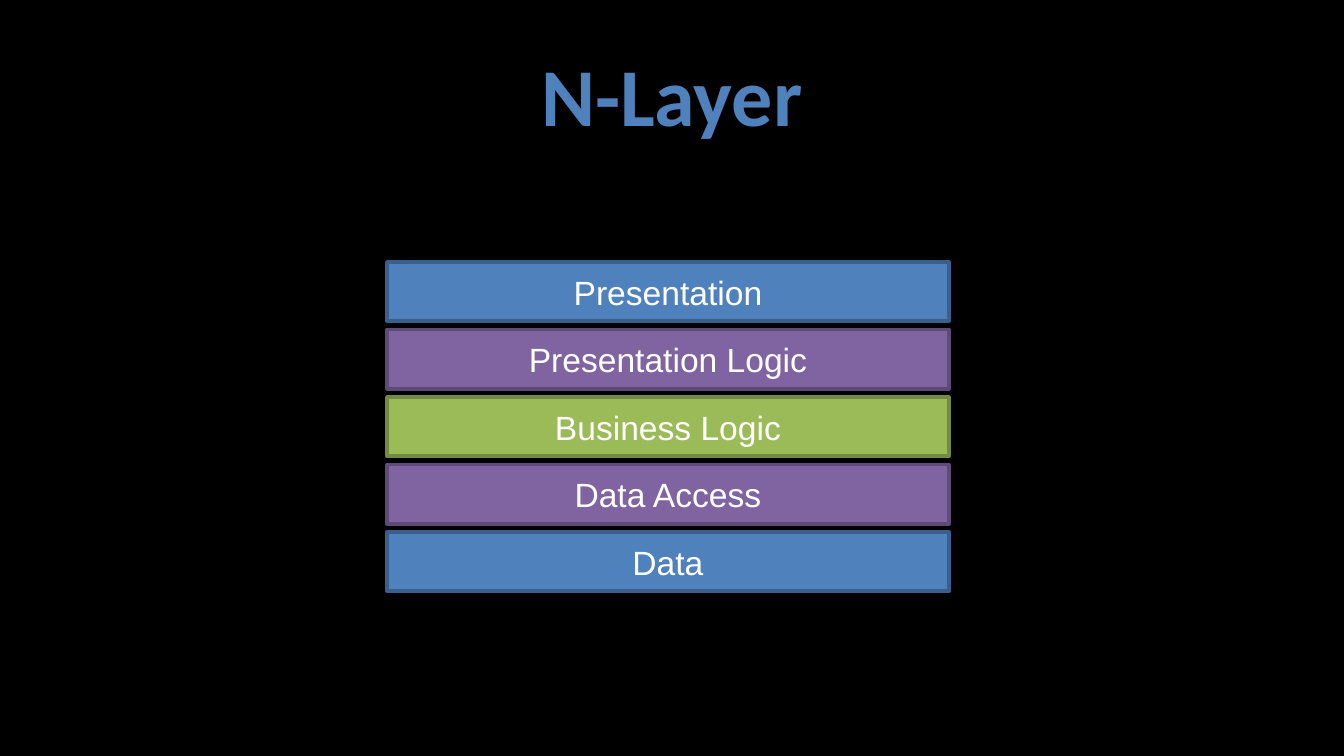
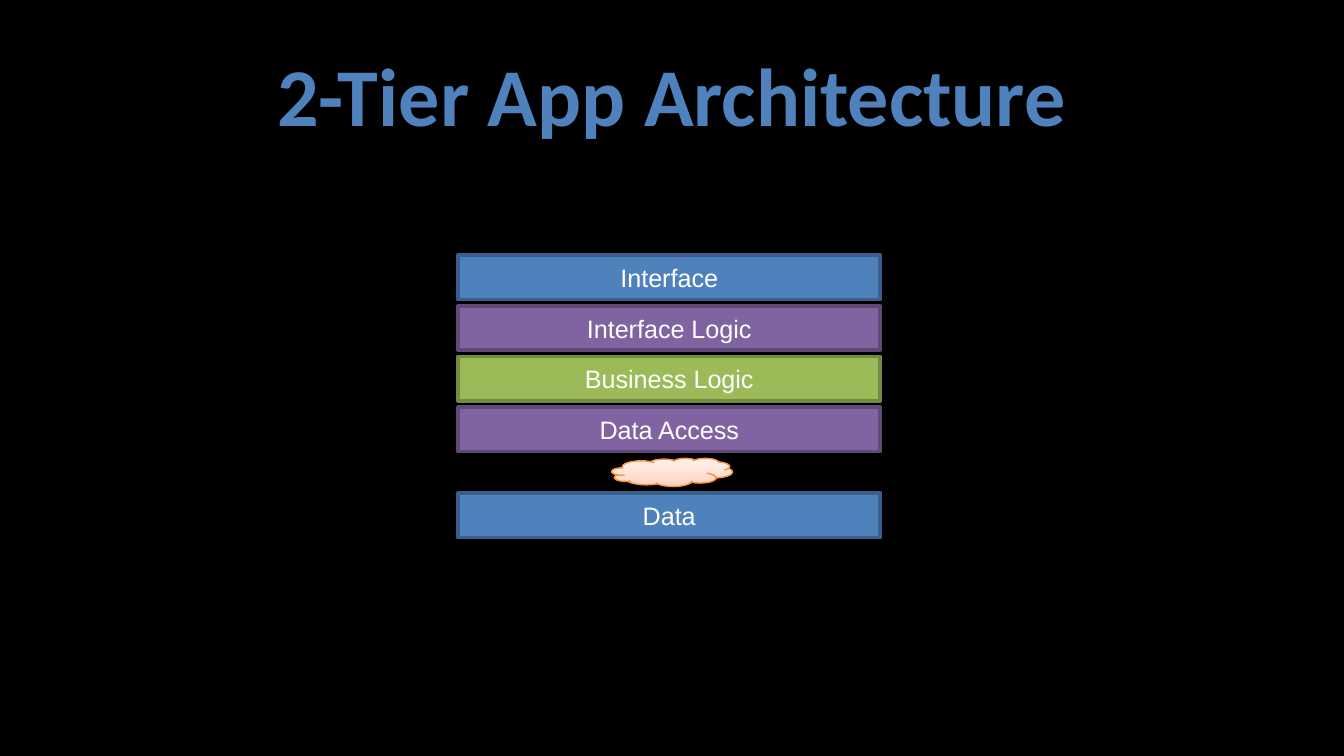
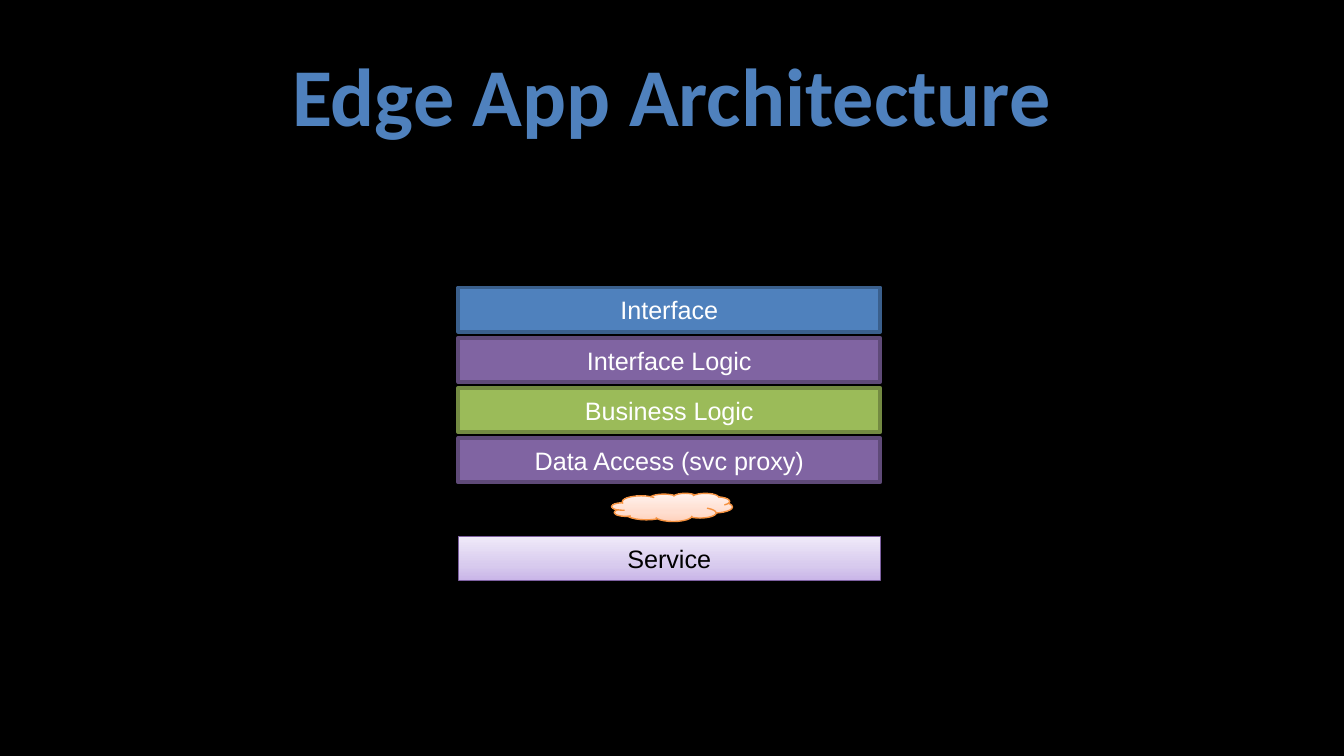
from pptx import Presentation
from pptx.dml.color import RGBColor
from pptx.enum.shapes import MSO_SHAPE
from pptx.enum.text import MSO_ANCHOR, PP_ALIGN
from pptx.oxml import parse_xml
from pptx.oxml.ns import nsdecls, qn
from pptx.util import Inches, Pt

BLUE = ("4F81BD", "3A5F8C")
PURPLE = ("8064A2", "5F4A78")
GREEN = ("9BBB59", "738A42")
ORANGE_GLOW = (("FFD2BD", "FFDED0", "FFF2ED"), "F69240")
PURPLE_GLOW = (("C9B5E8", "D8CBEE", "F0EAF9"), "7D60A0")
LAYER_STYLES = [BLUE, PURPLE, GREEN, PURPLE, BLUE]

LARGE = {"left": 2.88, "width": 4.18, "height": 0.44, "size": 18, "insets": (0.07, 0.04)}
SMALL = {"left": 3.41, "width": 3.14, "height": 0.33, "size": 13.5, "insets": (0.06, 0.03)}

SLIDES = [
    {
        "title": "N-Layer", "box": LARGE, "first_top": 1.95, "last_top": 3.96,
        "layers": ["Presentation", "Presentation Logic", "Business Logic", "Data Access", "Data"],
    },
    {
        "title": "2-Tier App Architecture", "box": SMALL, "first_top": 1.9, "last_top": 3.03,
        "layers": ["Interface", "Interface Logic", "Business Logic", "Data Access"],
        "cloud_top": 3.41, "remote": ("Data", 3.67, BLUE, "FFFFFF"),
    },
    {
        "title": "Edge App Architecture", "box": SMALL, "first_top": 2.14, "last_top": 3.26,
        "layers": ["Interface", "Interface Logic", "Business Logic", "Data Access (svc proxy)"],
        "cloud_top": 3.67, "remote": ("Service", 3.99, PURPLE_GLOW, "000000"),
    },
]


def color(value):
    return RGBColor.from_string(value)


def add_styled_shape(slide, kind, left, top, width, height, style):
    fill, line = style
    shape = slide.shapes.add_shape(kind, Inches(left), Inches(top), Inches(width), Inches(height))
    shape.line.color.rgb = color(line)
    if isinstance(fill, str):
        shape.line.width = Pt(2)
        shape.shadow.inherit = False
        shape.fill.solid()
        shape.fill.fore_color.rgb = color(fill)
        return shape
    shape.line.width = Pt(0.75)
    stops = "".join(
        f'<a:gs pos="{position}"><a:srgbClr val="{value}"/></a:gs>'
        for position, value in zip((0, 35000, 100000), fill)
    )
    gradient = parse_xml(
        f'<a:gradFill {nsdecls("a")} rotWithShape="1"><a:gsLst>{stops}</a:gsLst>'
        '<a:lin ang="16200000" scaled="1"/></a:gradFill>'
    )
    shadow = parse_xml(
        f'<a:effectLst {nsdecls("a")}>'
        f'<a:outerShdw blurRad="{Pt(3.1)}" dist="{Pt(1.6)}" dir="5400000" rotWithShape="0">'
        '<a:srgbClr val="000000"><a:alpha val="38000"/></a:srgbClr></a:outerShdw></a:effectLst>'
    )
    properties = shape._element.spPr
    properties.find(qn("a:ln")).addprevious(gradient)
    properties.append(shadow)
    return shape


presentation = Presentation()
presentation.slide_width = Inches(10)
presentation.slide_height = presentation.slide_width * 9 // 16

for content in SLIDES:
    slide = presentation.slides.add_slide(presentation.slide_layouts[6])
    slide.background.fill.solid()
    slide.background.fill.fore_color.rgb = color("000000")

    title = slide.shapes.add_textbox(Inches(0.5), Inches(0.23), Inches(9), Inches(0.94))
    title.text_frame.word_wrap = True
    title.text_frame.vertical_anchor = MSO_ANCHOR.MIDDLE
    paragraph = title.text_frame.paragraphs[0]
    paragraph.text = content["title"]
    paragraph.alignment = PP_ALIGN.CENTER
    paragraph.font.name = "Calibri"
    paragraph.font.size = Pt(44)
    paragraph.font.bold = True
    paragraph.font.color.rgb = color("4F81BD")

    first_top = content["first_top"]
    pitch = (content["last_top"] - first_top) / (len(content["layers"]) - 1)
    rows = [
        (label, first_top + index * pitch, LAYER_STYLES[index], "FFFFFF")
        for index, label in enumerate(content["layers"])
    ]
    if "remote" in content:
        rows.append(content["remote"])
        add_styled_shape(slide, MSO_SHAPE.CLOUD, 4.55, content["cloud_top"], 0.9, 0.21, ORANGE_GLOW)

    box = content["box"]
    for label, top, style, text_color in rows:
        layer = add_styled_shape(
            slide, MSO_SHAPE.RECTANGLE, box["left"], top, box["width"], box["height"], style
        )
        frame = layer.text_frame
        frame.word_wrap = False
        frame.vertical_anchor = MSO_ANCHOR.MIDDLE
        side, edge = box["insets"]
        frame.margin_left = frame.margin_right = Inches(side)
        frame.margin_top = frame.margin_bottom = Inches(edge)
        paragraph = frame.paragraphs[0]
        paragraph.text = label
        paragraph.alignment = PP_ALIGN.CENTER
        paragraph.font.name = "Arial"
        paragraph.font.size = Pt(box["size"])
        paragraph.font.color.rgb = color(text_color)

presentation.save("out.pptx")
